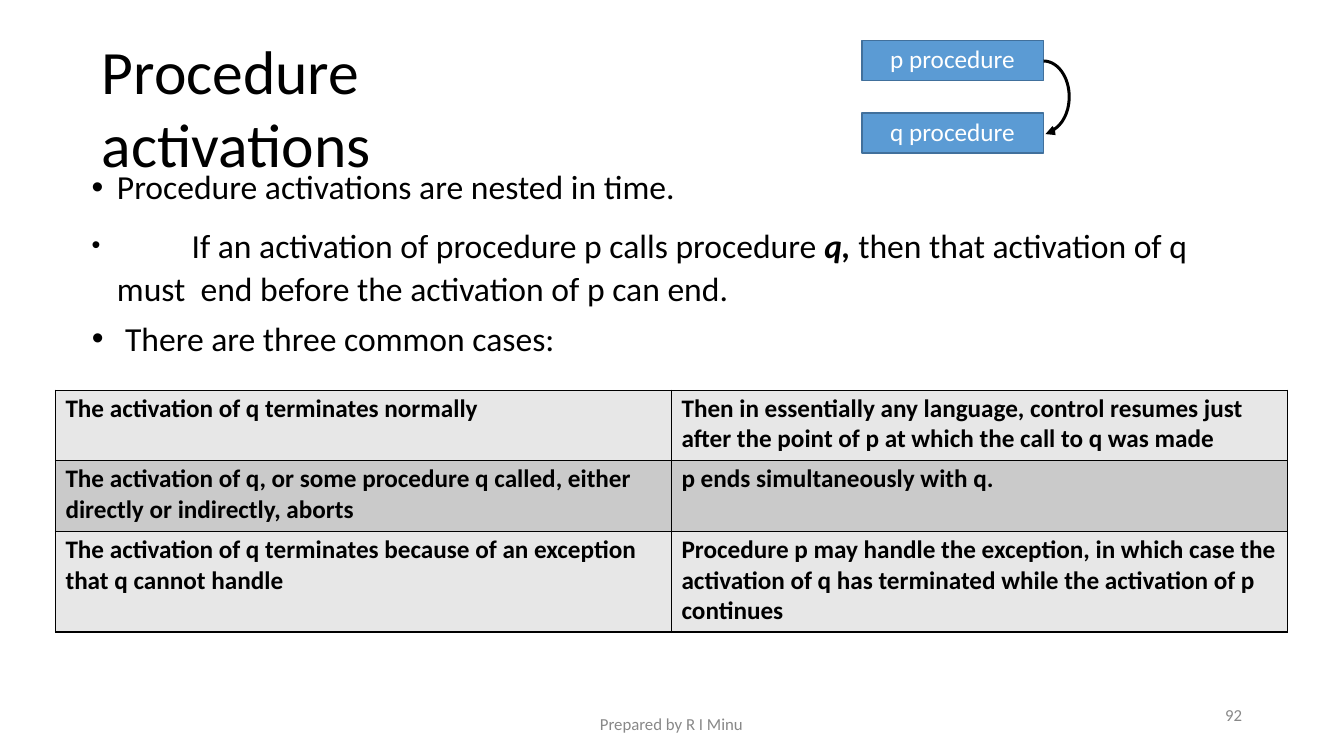
from math import cos, radians, sin
from lxml.etree import SubElement
from pptx import Presentation
from pptx.dml.color import RGBColor
from pptx.enum.shapes import MSO_SHAPE
from pptx.enum.text import MSO_ANCHOR, MSO_AUTO_SIZE, PP_ALIGN
from pptx.oxml.ns import qn
from pptx.util import Inches, Pt

COLORS = {
    "black": "000000", "white": "FFFFFF", "gray": "888888",
    "blue": "5B9BD4", "edge": "41709C", "light": "E7E7E7", "dark": "CACACA",
}


def paint(fill, color):
    fill.solid()
    fill.fore_color.rgb = RGBColor.from_string(COLORS[color])


def style(frame, size, color, top=0, indent=0, bold=False):
    frame.word_wrap = True
    frame.margin_left = frame.margin_right = frame.margin_bottom = 0
    frame.margin_top = Inches(top)
    for para in frame.paragraphs:
        para.alignment = PP_ALIGN.LEFT
        para._p.get_or_add_pPr().set("marL", str(Inches(indent)))
        for run in para.runs:
            run.font.name = "Calibri"
            run.font.size = Pt(size)
            run.font.bold = bold
            paint(run.font.fill, color)


deck = Presentation()
deck.slide_width = Inches(13.33)
deck.slide_height = Inches(7.5)
slide = deck.slides.add_slide(deck.slide_layouts[5])
shapes = slide.shapes

title = shapes.title
title.left, title.top = Inches(1), Inches(0.67)
title.width, title.height = Inches(5.33), Inches(0.76)
title.text_frame.text = "Procedure activations"
style(title.text_frame, 44, "black", 0.01, 0.01)
title.text_frame.vertical_anchor = MSO_ANCHOR.MIDDLE
title.text_frame.auto_size = MSO_AUTO_SIZE.SHAPE_TO_FIT_TEXT

points = [
    (["Procedure activations are nested in time."], 0.26, -0.25, 0, 1),
    (["\t", "If an activation of procedure p calls procedure ", "q, ",
      "then that activation of q must  end before the activation of p can end."],
     0.26, -0.25, 10.4, 1.08),
    (["There are three common cases:"], 0.34, -0.33, 6.8, 1),
]
body = shapes.add_textbox(Inches(0.9), Inches(1.54), Inches(10.99), Inches(1.89))
frame = body.text_frame
for index, (parts, *rest) in enumerate(points):
    para = frame.add_paragraph() if index else frame.paragraphs[0]
    for part in parts:
        para.add_run().text = part
style(frame, 24, "black", 0.11)
for para, (parts, left, hang, before, spacing) in zip(frame.paragraphs, points):
    para.space_before = Pt(before)
    para.line_spacing = spacing
    props = para._p.get_or_add_pPr()
    props.set("marL", str(Inches(left)))
    props.set("indent", str(Inches(hang)))
    props.set("defTabSz", str(Inches(1)))
    tint = SubElement(props, qn("a:buClr"))
    SubElement(tint, qn("a:srgbClr")).set("val", COLORS["black"])
    SubElement(props, qn("a:buFont")).set("typeface", "Arial")
    SubElement(props, qn("a:buChar")).set("char", "•")
tab, lead, name, tail = frame.paragraphs[1].runs
tab.font.size = Pt(18)
name.font.bold = name.font.italic = True

for label, top in [("p procedure", 0.4), ("q procedure", 1.12)]:
    box = shapes.add_shape(MSO_SHAPE.RECTANGLE, Inches(8.55), Inches(top),
                           Inches(1.8), Inches(0.4))
    box.shadow.inherit = False
    paint(box.fill, "blue")
    paint(box.line.fill, "edge")
    box.line.width = Pt(0.96)
    box.text_frame.text = label
    style(box.text_frame, 18, "white", 0.03, 0.28)
    box.text_frame.vertical_anchor = MSO_ANCHOR.TOP

angles = [radians(step) for step in range(-90, 66, 5)]
outer = [(10.35 + 0.27 * cos(a), 0.96 + 0.37 * sin(a)) for a in angles]
inner = [(10.35 + 0.24 * cos(a), 0.96 + 0.34 * sin(a)) for a in angles]
head = [(10.47, 1.34), (10.37, 1.33), (10.44, 1.25)]
curve = [(Inches(x), Inches(y)) for x, y in outer + head + inner[::-1]]
pen = shapes.build_freeform(*curve[0])
pen.add_line_segments(curve[1:], close=True)
arrow = pen.convert_to_shape()
arrow.shadow.inherit = False
paint(arrow.fill, "black")
arrow.line.fill.background()

cases = [
    ("The activation of q terminates normally",
     "Then in essentially any language, control resumes just  after the point "
     "of p at which the call to q was made"),
    ("The activation of q, or some procedure q called, either  directly or "
     "indirectly, aborts",
     "p ends simultaneously with q."),
    ("The activation of q terminates because of an exception  that q cannot handle",
     "Procedure p may handle the exception, in which case the  activation of q "
     "has terminated while the activation of p  continues"),
]
table = shapes.add_table(3, 2, Inches(0.55), Inches(3.87),
                         Inches(12.22), Inches(2.4)).table
for column in table.columns:
    column.width = Inches(6.11)
for row, height, texts, shade in zip(table.rows, (0.7, 0.7, 1), cases,
                                     ("light", "dark", "light")):
    row.height = Inches(height)
    for cell, text in zip(row.cells, texts):
        cell.text = text
        style(cell.text_frame, 18, "black", 0, 0.1, True)
        cell.margin_left = cell.margin_right = cell.margin_bottom = 0
        cell.margin_top = Inches(0.03)
        props = cell._tc.get_or_add_tcPr()
        for side in ("lnL", "lnR", "lnT", "lnB"):
            edge = SubElement(props, qn("a:" + side))
            edge.set("w", str(Pt(1)))
            solid = SubElement(edge, qn("a:solidFill"))
            SubElement(solid, qn("a:srgbClr")).set("val", COLORS["black"])
        paint(cell.fill, shade)

notes = [
    ("Prepared by R I Minu", 5.94, 7.07, 1.45, 0.2, 0.01),
    ("92", 12.04, 6.99, 0.32, 0.3, 0.11),
]
for text, left, top, width, height, indent in notes:
    note = shapes.add_textbox(Inches(left), Inches(top), Inches(width), Inches(height))
    note.text_frame.text = text
    style(note.text_frame, 12, "gray", 0, indent)
    note.text_frame.paragraphs[0].line_spacing = 1.03

deck.save("out.pptx")
